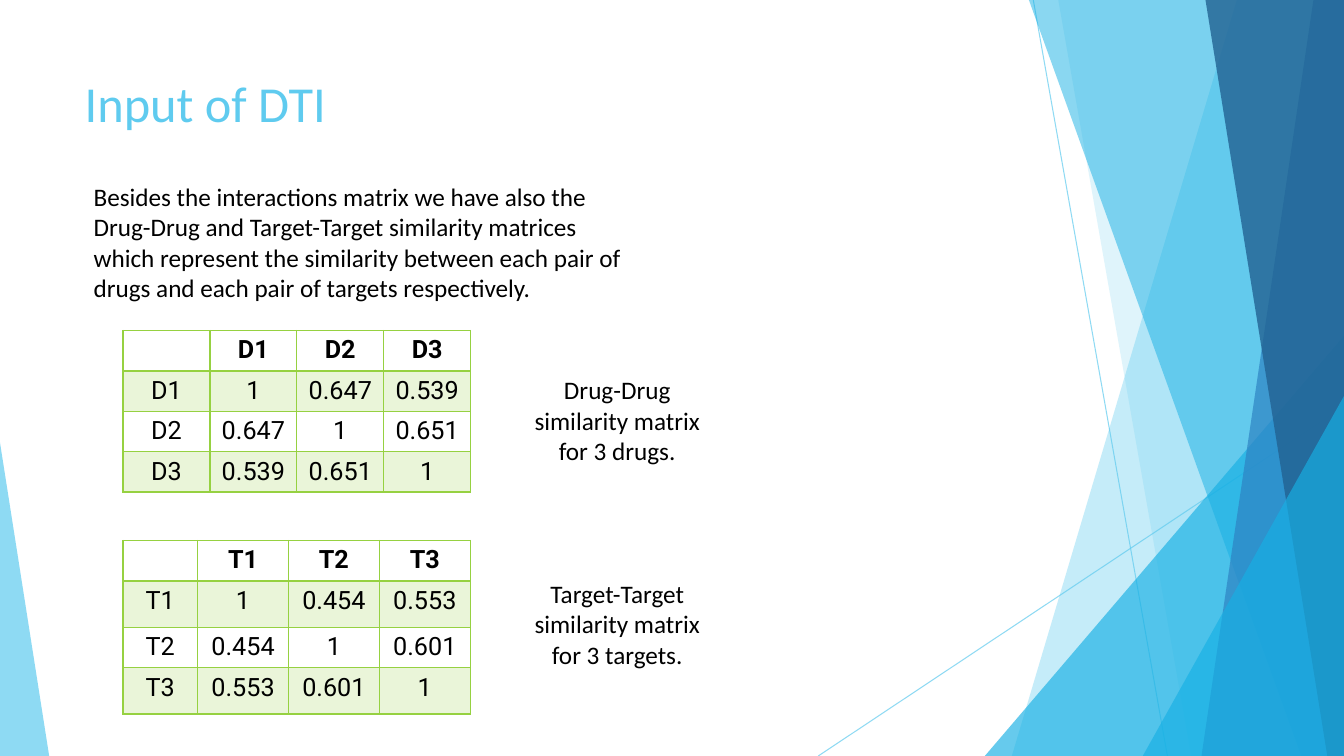
from lxml import etree
from pptx import Presentation
from pptx import util as u
from pptx.dml.color import RGBColor
from pptx.enum import shapes, text
from pptx.oxml import ns

SKY = RGBColor(0x5F, 0xCB, 0xEF)
CYAN = RGBColor(0x17, 0xB0, 0xE4)
BLUE = RGBColor(0x2E, 0x83, 0xC3)
NAVY = RGBColor(0x22, 0x62, 0x92)
GREEN = RGBColor(0x96, 0xD1, 0x41)
BLACK = RGBColor(0, 0, 0)

WIDTH, HEIGHT = 33.87, 19.05


def set_opacity(element, percent):
    for color in element.iter(ns.qn("a:srgbClr")):
        etree.SubElement(color, ns.qn("a:alpha"), val=str(percent * 1000))


def write_text(frame, words, color, alignment, **font_format):
    paragraph = frame.paragraphs[0]
    paragraph.alignment = alignment
    run = paragraph.add_run()
    run.text = words
    run.font.color.rgb = color
    for name, value in font_format.items():
        setattr(run.font, name, value)
    return paragraph


presentation = Presentation()
presentation.slide_width = u.Cm(WIDTH)
presentation.slide_height = u.Cm(HEIGHT)
slide = presentation.slides.add_slide(presentation.slide_layouts[5])

# Thin lines behind the panes
for ends in [(26.04, 0, 29.42, HEIGHT), (WIDTH, 10.24, 20.62, HEIGHT)]:
    line = slide.shapes.add_connector(shapes.MSO_CONNECTOR.STRAIGHT, *map(u.Cm, ends))
    line.line.color.rgb = SKY
    line.line.width = u.Pt(0.75)
    set_opacity(line.line._get_or_add_ln(), 70)
    etree.SubElement(line._element.spPr, ns.qn("a:effectLst"))

# Translucent facets: panes run to the right edge from a top x to a bottom x,
# triangles have a left, top, width, height and apex position
facets = [
    ((31.17, 25.5), SKY, 36),
    ((26.67, 30.02), SKY, 20),
    ((24.82, 8.46, 9.05, 10.59, 1), CYAN, 66),
    ((25.93, 32.79), CYAN, 50),
    ((33.1, 30.28), BLUE, 70),
    ((30.38, 33.45), NAVY, 80),
    ((28.8, 9.98, 5.07, 9.07, 1), CYAN, 66),
    ((0, 11.15, 1.24, 7.9, 0), SKY, 70),
]
for geometry, color, opacity in facets:
    if len(geometry) == 2:
        top_x, bottom_x = geometry
        builder = slide.shapes.build_freeform(u.Cm(top_x), 0)
        corners = [(WIDTH, 0), (WIDTH, HEIGHT), (bottom_x, HEIGHT)]
        builder.add_line_segments([(u.Cm(x), u.Cm(y)) for x, y in corners])
        facet = builder.convert_to_shape()
    else:
        *box, apex = geometry
        facet = slide.shapes.add_shape(
            shapes.MSO_SHAPE.ISOSCELES_TRIANGLE, *map(u.Cm, box))
        facet.adjustments[0] = apex
    facet.shadow.inherit = False
    facet.fill.solid()
    facet.fill.fore_color.rgb = color
    set_opacity(facet._element.spPr, opacity)
    facet.line.fill.background()

# Title
title = slide.shapes.title
placement = {"left": 1.88, "top": 1.7, "width": 23.88, "height": 3.66}
for name, value in placement.items():
    setattr(title, name, u.Cm(value))
title.text_frame.vertical_anchor = text.MSO_ANCHOR.TOP
title.text_frame.auto_size = text.MSO_AUTO_SIZE.NONE
write_text(title.text_frame, "Input of DTI", SKY, text.PP_ALIGN.LEFT,
           name="Calibri", size=u.Pt(36))

# Explanation and matrix captions
texts = [
    ((2.11, 4.45, 13.97, 10.77), text.PP_ALIGN.LEFT,
     "Besides the interactions matrix we have also the Drug-Drug and "
     "Target-Target similarity matrices which represent the similarity between "
     "each pair of drugs and each pair of targets respectively."),
    ((12.8, 9.32, 5.51, 3.07), text.PP_ALIGN.CENTER,
     "Drug-Drug similarity matrix for 3 drugs."),
    ((12.8, 14.45, 5.51, 3.07), text.PP_ALIGN.CENTER,
     "Target-Target similarity matrix for 3 targets."),
]
for box, alignment, words in texts:
    text_box = slide.shapes.add_textbox(*map(u.Cm, box))
    text_box.text_frame.word_wrap = True
    paragraph = write_text(text_box.text_frame, words, BLACK, alignment,
                           name="Calibri", size=u.Pt(18))
    paragraph.space_before = u.Pt(10)

# Similarity matrices
matrices = [
    (8.33, [2.19] * 4, [1] * 4, [
        ["", "D1", "D2", "D3"],
        ["D1", "1", "0.647", "0.539"],
        ["D2", "0.647", "1", "0.651"],
        ["D3", "0.539", "0.651", "1"]]),
    (13.62, [1.88, 2.29, 2.29, 2.29], [1, 1.17, 1, 1.17], [
        ["", "T1", "T2", "T3"],
        ["T1", "1", "0.454", "0.553"],
        ["T2", "0.454", "1", "0.601"],
        ["T3", "0.553", "0.601", "1"]]),
]
for top, widths, heights, values in matrices:
    table = slide.shapes.add_table(
        len(heights), len(widths), u.Cm(3.1), u.Cm(top),
        u.Cm(sum(widths)), u.Cm(sum(heights))).table
    table.horz_banding = False
    for column, width in zip(table.columns, widths):
        column.width = u.Cm(width)
    for row_number, (row, height) in enumerate(zip(table.rows, heights)):
        row.height = u.Cm(height)
        is_header = row_number == 0
        for cell, value in zip(row.cells, values[row_number]):
            write_text(cell.text_frame, value, BLACK, text.PP_ALIGN.CENTER,
                       name="Roboto", size=u.Pt(18), bold=is_header)
            properties = cell._tc.get_or_add_tcPr()
            if row_number % 2:
                cell.fill.solid()
                cell.fill.fore_color.rgb = GREEN
                set_opacity(properties, 20)
            else:
                cell.fill.background()
            # Cell borders come before the fill, the header's lower one is thicker
            for index, side in enumerate("LRTB"):
                points = 2 if is_header and side == "B" else 1
                border = etree.Element(ns.qn(f"a:ln{side}"), w=str(u.Pt(points)))
                fill = etree.SubElement(border, ns.qn("a:solidFill"))
                etree.SubElement(fill, ns.qn("a:srgbClr"), val=str(GREEN))
                properties.insert(index, border)

presentation.save("out.pptx")
